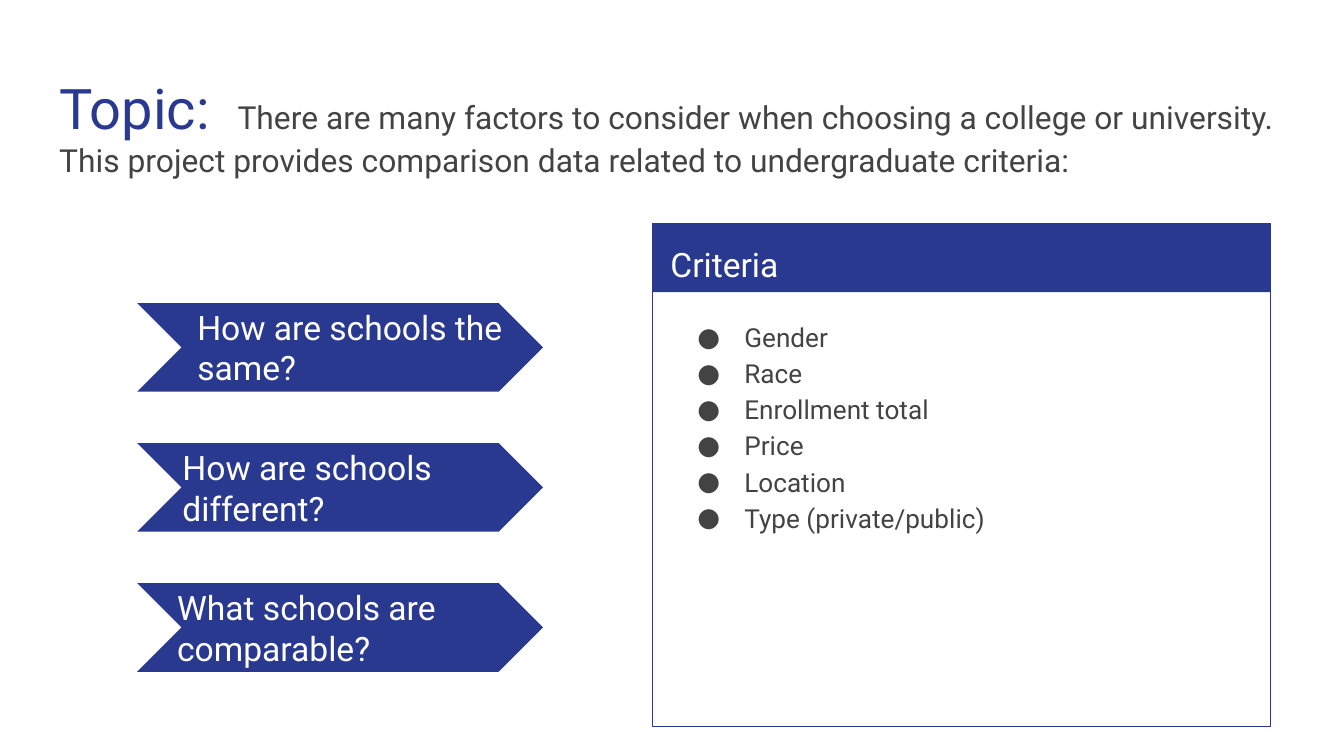
from dataclasses import dataclass

from lxml.etree import SubElement
from pptx import Presentation
from pptx.dml.color import RGBColor
from pptx.enum.shapes import MSO_SHAPE as Preset
from pptx.enum.text import MSO_ANCHOR as Anchor, MSO_AUTO_SIZE as AutoSize, PP_ALIGN as Align
from pptx.oxml.ns import qn
from pptx.util import Inches, Pt

NAVY = RGBColor(0x2A, 0x39, 0x90)
GREY = RGBColor(0x43, 0x43, 0x43)
WHITE = RGBColor(0xFF, 0xFF, 0xFF)
FONT = "Roboto"
CELL = Inches(0.1)  # the slide is a grid of 100 columns by 56.25 rows


@dataclass(frozen=True)
class Area:
    """A rectangle in grid columns and rows."""
    col: float
    row: float
    cols: float
    rows: float

    def lengths(self) -> list[int]:
        return [round(n * CELL) for n in (self.col, self.row, self.cols, self.rows)]


@dataclass(frozen=True)
class Question:
    text: str
    col: float


QUESTIONS = [
    Question("How are schools the same?", 13.7),
    Question("How are schools different?", 12.6),
    Question("What schools are comparable?", 12.2),
]
CRITERIA = ["Gender", "Race", "Enrollment total", "Price", "Location", "Type (private/public)"]
FIRST_ROW, ROW_STEP = 22.55, 10.42


def draw_shape(slide, preset, area: Area, fill=None, line=None):
    shape = slide.shapes.add_shape(preset, *area.lengths())
    shape.shadow.inherit = False
    if fill is None:
        shape.fill.background()
    else:
        shape.fill.solid()
        shape.fill.fore_color.rgb = fill
    if line is None:
        shape.line.fill.background()
    else:
        shape.line.color.rgb = line
        shape.line.width = Pt(0.75)


def set_frame(frame, anchor=Anchor.TOP):
    frame.word_wrap = True
    frame.auto_size = AutoSize.NONE
    frame.vertical_anchor = anchor
    frame.margin_left = frame.margin_right = CELL
    frame.margin_top = frame.margin_bottom = CELL


def add_run(paragraph, text: str, *, size: float, color: RGBColor):
    run = paragraph.add_run()
    run.text = text
    run.font.name = FONT
    run.font.size = Pt(size)
    run.font.color.rgb = color


def add_bullet(paragraph, color: RGBColor):
    props = paragraph._p.get_or_add_pPr()
    props.set("marL", str(Inches(0.5)))
    props.set("indent", str(Inches(-0.35)))
    SubElement(SubElement(props, qn("a:buClr")), qn("a:srgbClr"), val=str(color))
    SubElement(props, qn("a:buFont"), typeface=FONT)
    SubElement(props, qn("a:buChar"), char="●")


def draw_text(slide, area: Area, lines: list[str], *, size: float, color: RGBColor,
              spacing=1.0, anchor=Anchor.TOP, bullets=False):
    frame = slide.shapes.add_textbox(*area.lengths()).text_frame
    set_frame(frame, anchor)
    for index, line in enumerate(lines):
        paragraph = frame.add_paragraph() if index else frame.paragraphs[0]
        paragraph.line_spacing = spacing
        if bullets:
            add_bullet(paragraph, color)
        add_run(paragraph, line, size=size, color=color)


def draw_topic(slide):
    topic = slide.shapes.title
    topic.left, topic.top, topic.width, topic.height = Area(3.4, 4.5, 93.2, 6.6).lengths()
    set_frame(topic.text_frame)
    paragraph = topic.text_frame.paragraphs[0]
    paragraph.alignment = Align.LEFT
    add_run(paragraph, "Topic:  ", size=30, color=NAVY)
    add_run(paragraph, "There are many factors to consider when choosing a college or university.  "
            "This project provides comparison data related to undergraduate criteria:",
            size=17, color=GREY)


def draw_criteria(slide):
    draw_shape(slide, Preset.RECTANGLE, Area(48.55, 16.65, 46, 5.1), fill=NAVY)
    draw_shape(slide, Preset.RECTANGLE, Area(48.55, 16.65, 46, 37.4), line=NAVY)
    draw_text(slide, Area(48.9, 16.7, 34.9, 5), ["Criteria"], size=18, color=WHITE, spacing=1.15)
    draw_text(slide, Area(49.4, 22.6, 44.3, 30.6), CRITERIA, size=14, color=GREY,
              spacing=1.15, bullets=True)


def draw_question(slide, question: Question, row: float):
    draw_shape(slide, Preset.CHEVRON, Area(10.2, row, 30.2, 6.6), fill=NAVY)
    draw_text(slide, Area(question.col, row + 1.6, 24.7, 3.4), [question.text],
              size=18, color=WHITE, anchor=Anchor.MIDDLE)


def main():
    deck = Presentation()
    deck.slide_width, deck.slide_height = 100 * CELL, round(56.25 * CELL)
    slide = deck.slides.add_slide(deck.slide_layouts[5])  # title only

    # Topic statement
    draw_topic(slide)
    # Criteria panel
    draw_criteria(slide)
    # Guiding questions
    for index, question in enumerate(QUESTIONS):
        draw_question(slide, question, FIRST_ROW + index * ROW_STEP)

    deck.save("out.pptx")


if __name__ == "__main__":
    main()
